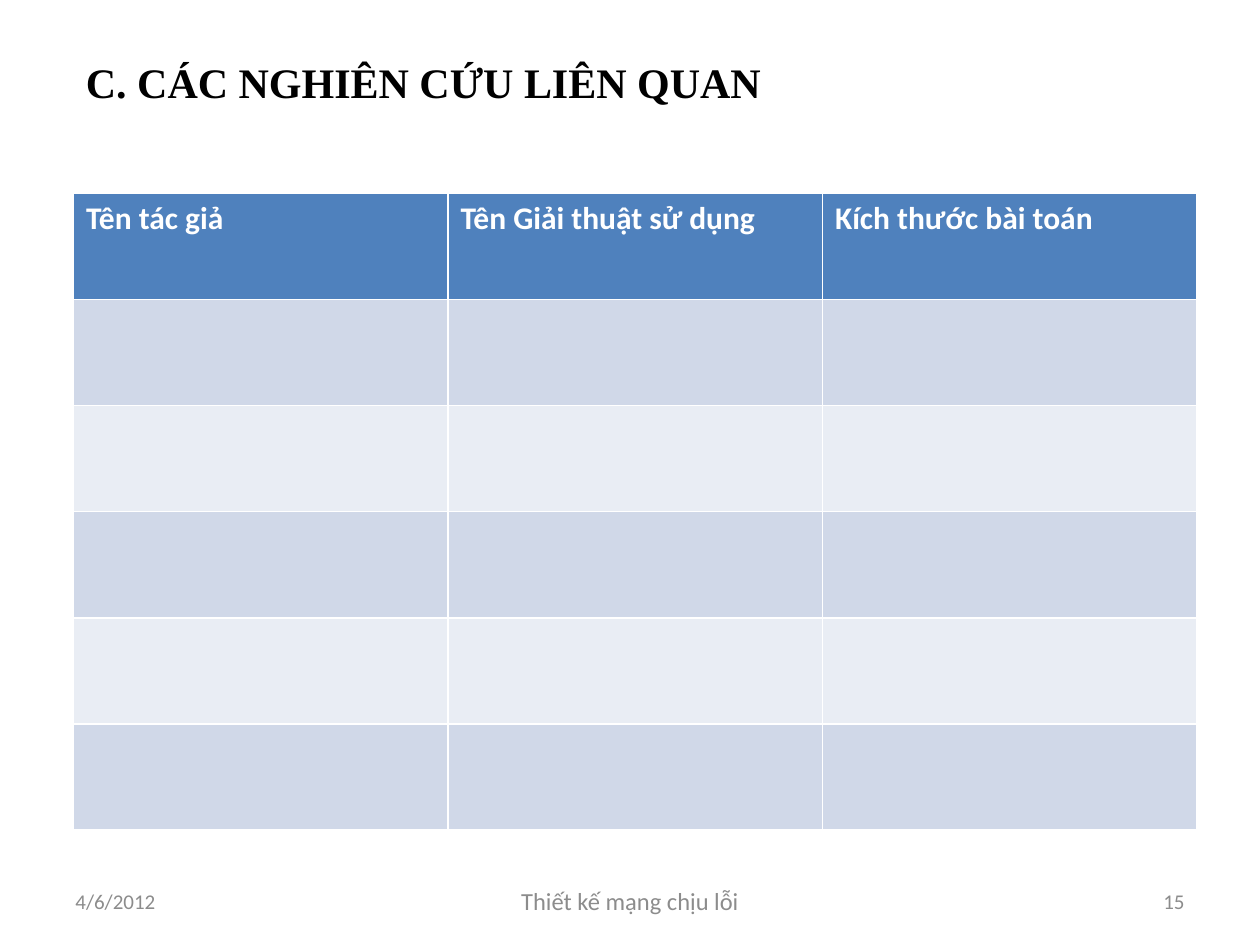
from pptx import Presentation
from pptx.dml.color import RGBColor
from pptx.enum import text
from pptx.util import Pt

LEFT, CENTER, RIGHT = text.PP_ALIGN.LEFT, text.PP_ALIGN.CENTER, text.PP_ALIGN.RIGHT


def style(paragraph, size, color, font="Calibri", bold=False):
    paragraph.font.size = Pt(size)
    paragraph.font.name = font
    paragraph.font.bold = bold
    paragraph.font.color.rgb = RGBColor.from_string(color)


def add_line(words, left, top, width, height, align=LEFT):
    frame = slide.shapes.add_textbox(Pt(left), Pt(top), Pt(width), Pt(height)).text_frame
    frame.word_wrap = True
    frame.vertical_anchor = text.MSO_ANCHOR.MIDDLE
    line = frame.paragraphs[0]
    line.text = words
    line.alignment = align
    return line


deck = Presentation()
deck.slide_width, deck.slide_height = Pt(720), Pt(540)
slide = deck.slides.add_slide(deck.slide_layouts[6])

title = add_line("C. CÁC NGHIÊN CỨU LIÊN QUAN", 42, 21.6, 642, 50.4)
style(title, 24, "000000", "Times New Roman", True)

footers = [
    ("4/6/2012", 36, 168, LEFT, 12),
    ("Thiết kế mạng chịu lỗi", 246, 228, CENTER, 14),
    ("15", 516, 168, RIGHT, 12),
]
for words, left, width, align, size in footers:
    style(add_line(words, left, 500.5, width, 28.75, align), size, "8C8C8C")

headings = ["Tên tác giả", "Tên Giải thuật sử dụng", "Kích thước bài toán"]
studies = slide.shapes.add_table(6, 3, Pt(42), Pt(110.4), Pt(642), Pt(364)).table
for row_number, row in enumerate(studies.rows):
    band = "4F81BD" if row_number == 0 else ("E9EDF4", "D0D8E8")[row_number % 2]
    for cell in row.cells:
        cell.fill.solid()
        cell.fill.fore_color.rgb = RGBColor.from_string(band)

for cell, heading in zip(studies.rows[0].cells, headings):
    cell.text = heading
    style(cell.text_frame.paragraphs[0], 18, "FFFFFF", bold=True)

deck.save("out.pptx")
